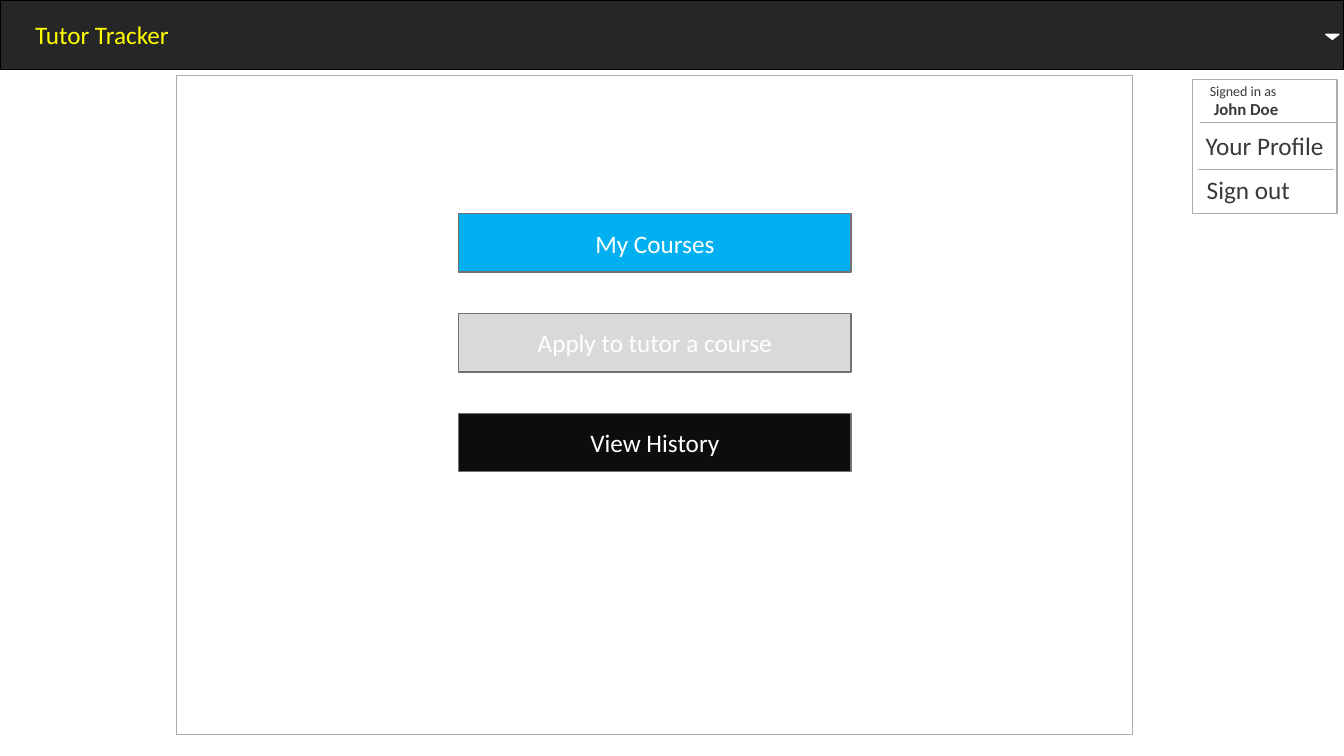
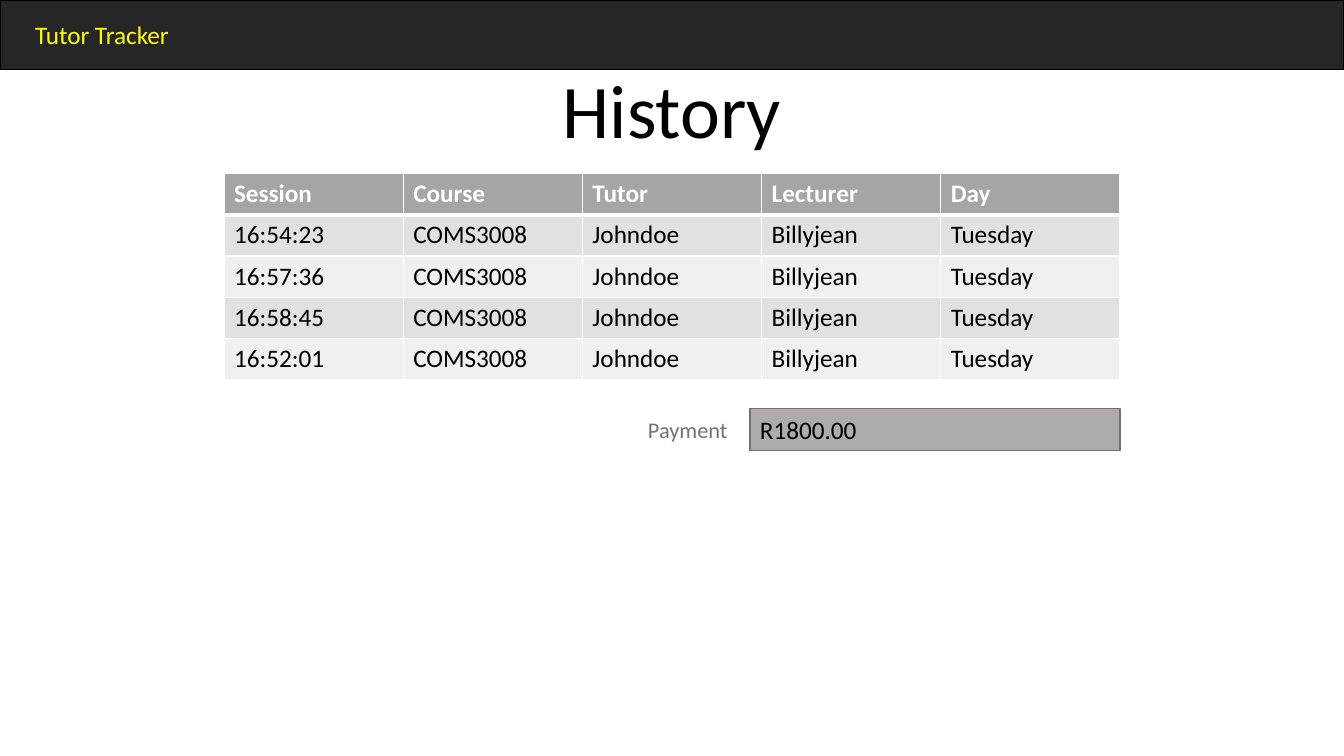
"""Build the Tutor Tracker home screen and session history slides."""
from lxml.etree import SubElement
from pptx import Presentation
from pptx.dml.color import RGBColor
from pptx.enum.shapes import MSO_CONNECTOR, MSO_SHAPE
from pptx.enum.text import MSO_ANCHOR, MSO_AUTO_SIZE, PP_ALIGN
from pptx.oxml.ns import qn
from pptx.util import Inches, Pt

FONT = "Calibri"
WHITE = RGBColor(0xFF, 0xFF, 0xFF)
BLACK = RGBColor(0x00, 0x00, 0x00)
YELLOW = RGBColor(0xFF, 0xFF, 0x00)
BAND = RGBColor(0x26, 0x26, 0x26)
INK = RGBColor(0x3B, 0x38, 0x38)
MID_GREY = RGBColor(0x76, 0x71, 0x71)
SOFT_GREY = RGBColor(0xAF, 0xAB, 0xAB)
BLUE = RGBColor(0x00, 0xB0, 0xF0)
DISABLED = RGBColor(0xD9, 0xD9, 0xD9)
NEAR_BLACK = RGBColor(0x0D, 0x0D, 0x0D)
HEADER_FILL = RGBColor(0xA5, 0xA5, 0xA5)
ROW_FILLS = RGBColor(0xE1, 0xE1, 0xE1), RGBColor(0xF0, 0xF0, 0xF0)

BRAND = "Tutor Tracker"
SIGNED_IN = "Signed in as"
USER = "John Doe"
MENU_ITEMS = [("Your Profile", 11.86, 1.32), ("Sign out", 11.87, 1.75)]
MENU_RULES = [(11.9, 1.21), (11.88, 1.68)]
BUTTONS = [("My Courses", BLUE), ("Apply to tutor a course", DISABLED), ("View History", NEAR_BLACK)]
HISTORY_TITLE = "History"
HEADERS = ["Session", "Course", "Tutor", "Lecturer", "Day"]
SESSIONS = ["16:54:23", "16:57:36", "16:58:45", "16:52:01"]
SESSION_DETAILS = ["COMS3008", "Johndoe", "Billyjean", "Tuesday"]
PAYMENT_LABEL = "Payment"
PAYMENT = "R1800.00"

SLIDE_WIDTH, SLIDE_HEIGHT = 13.33, 7.5
BAND_HEIGHT = 0.69
BUTTON_LEFT, BUTTON_TOP, BUTTON_WIDTH, BUTTON_HEIGHT = 4.55, 2.12, 3.89, 0.58
BUTTON_PITCH = 0.99
TABLE_WIDTH, TABLE_TOP, ROW_HEIGHT = SLIDE_WIDTH * 2 / 3, 1.72, 0.41
TABLE_LEFT = (SLIDE_WIDTH - TABLE_WIDTH) / 2
PAYMENT_TOP, PAYMENT_HEIGHT, PAYMENT_WIDTH = 4.05, 0.42, 3.67


def style_text(text_frame, size, color, bold=False, align=PP_ALIGN.LEFT):
    for paragraph in text_frame.paragraphs:
        paragraph.alignment = align
        for run in paragraph.runs:
            run.font.name = FONT
            run.font.size = Pt(size)
            run.font.bold = bold
            run.font.color.rgb = color


def add_box(slide, left, top, width, height, fill, line=None, kind=MSO_SHAPE.RECTANGLE):
    shape = slide.shapes.add_shape(kind, *map(Inches, (left, top, width, height)))
    shape.shadow.inherit = False
    shape.fill.solid()
    shape.fill.fore_color.rgb = fill
    if line is None:
        shape.line.fill.background()
    else:
        shape.line.color.rgb = line
        shape.line.width = Pt(1)
    return shape


def write(shape, text, size, color, align=PP_ALIGN.LEFT):
    text_frame = shape.text_frame
    text_frame.text = text
    text_frame.word_wrap = True
    text_frame.vertical_anchor = MSO_ANCHOR.MIDDLE
    style_text(text_frame, size, color, align=align)


def add_rule(slide, left, top, width):
    rule = slide.shapes.add_connector(
        MSO_CONNECTOR.STRAIGHT, *map(Inches, (left, top, left + width, top)))
    rule.line.color.rgb = SOFT_GREY
    rule.line.width = Pt(0.5)
    SubElement(rule._element.spPr, qn("a:effectLst"))


def add_header(slide):
    add_box(slide, 0, 0, SLIDE_WIDTH, BAND_HEIGHT, BAND, BLACK)
    brand = slide.shapes.add_textbox(*map(Inches, (0.25, 0.14, 1.68, 0.4)))
    brand.text_frame.text = BRAND
    brand.text_frame.word_wrap = True
    style_text(brand.text_frame, 18, YELLOW)


def add_account_menu(slide):
    add_box(slide, 13.15, 0.34, 0.13, 0.05, WHITE, WHITE, MSO_SHAPE.FLOWCHART_MERGE)
    add_box(slide, 11.83, 0.79, 1.43, 1.33, WHITE, SOFT_GREY)
    account = add_box(slide, 11.9, 0.82, 1.25, 0.36, WHITE)
    write(account, f"{SIGNED_IN}\n{USER}", 10, INK)
    user = account.text_frame.paragraphs[1]
    user.runs[0].font.size = Pt(12)
    user.runs[0].font.bold = True
    user._p.get_or_add_pPr().set("marL", str(Inches(0.04)))
    for text, left, top in MENU_ITEMS:
        write(add_box(slide, left, top, 1.38, 0.25, WHITE), text, 18, INK)
    for left, top in MENU_RULES:
        add_rule(slide, left, top, 1.35)


def add_buttons(slide):
    add_box(slide, 1.75, 0.75, 9.48, 6.54, WHITE, SOFT_GREY)
    for index, (text, fill) in enumerate(BUTTONS):
        top = BUTTON_TOP + index * BUTTON_PITCH
        button = add_box(slide, BUTTON_LEFT, top, BUTTON_WIDTH, BUTTON_HEIGHT, fill, MID_GREY)
        write(button, text, 18, WHITE, PP_ALIGN.CENTER)


def set_borders(cell, widths):
    properties = cell._tc.get_or_add_tcPr()
    for side, width in widths.items():
        line = SubElement(properties, qn(f"a:ln{side}"), w=str(Pt(width)))
        SubElement(SubElement(line, qn("a:solidFill")), qn("a:srgbClr"), val=str(WHITE))


def add_history_table(slide):
    rows = [HEADERS] + [[session] + SESSION_DETAILS for session in SESSIONS]
    frame = slide.shapes.add_table(
        len(rows), len(HEADERS),
        *map(Inches, (TABLE_LEFT, TABLE_TOP, TABLE_WIDTH, ROW_HEIGHT * len(rows))))
    for row_index, row in enumerate(rows):
        is_header = row_index == 0
        for column_index, text in enumerate(row):
            cell = frame.table.cell(row_index, column_index)
            top = 3 if row_index == 1 else 1
            set_borders(cell, {"L": 1, "R": 1, "T": top, "B": 3 if is_header else 1})
            cell.fill.solid()
            cell.fill.fore_color.rgb = HEADER_FILL if is_header else ROW_FILLS[(row_index - 1) % 2]
            cell.text_frame.text = text
            style_text(cell.text_frame, 18, WHITE if is_header else BLACK, is_header)


def add_payment(slide):
    left = TABLE_LEFT + TABLE_WIDTH - PAYMENT_WIDTH
    amount = add_box(slide, left, PAYMENT_TOP, PAYMENT_WIDTH, PAYMENT_HEIGHT, SOFT_GREY, MID_GREY)
    write(amount, PAYMENT, 18, BLACK)
    label = add_box(slide, left - 1.11, PAYMENT_TOP, 1.01, PAYMENT_HEIGHT, WHITE, WHITE)
    write(label, PAYMENT_LABEL, 16, MID_GREY)


def add_title(slide, text):
    title = slide.shapes.title
    title.left, title.top, title.width, title.height = map(
        Inches, (0, 0.73, SLIDE_WIDTH, BAND_HEIGHT))
    write(title, text, 54, BLACK, PP_ALIGN.CENTER)
    title.text_frame.auto_size = MSO_AUTO_SIZE.NONE


presentation = Presentation()
presentation.slide_width = Inches(SLIDE_WIDTH)
presentation.slide_height = Inches(SLIDE_HEIGHT)
title_only, blank = presentation.slide_layouts[5], presentation.slide_layouts[6]

home = presentation.slides.add_slide(blank)
add_header(home)
add_account_menu(home)
add_buttons(home)

history = presentation.slides.add_slide(title_only)
add_header(history)
add_title(history, HISTORY_TITLE)
add_history_table(history)
add_payment(history)

presentation.save("out.pptx")
